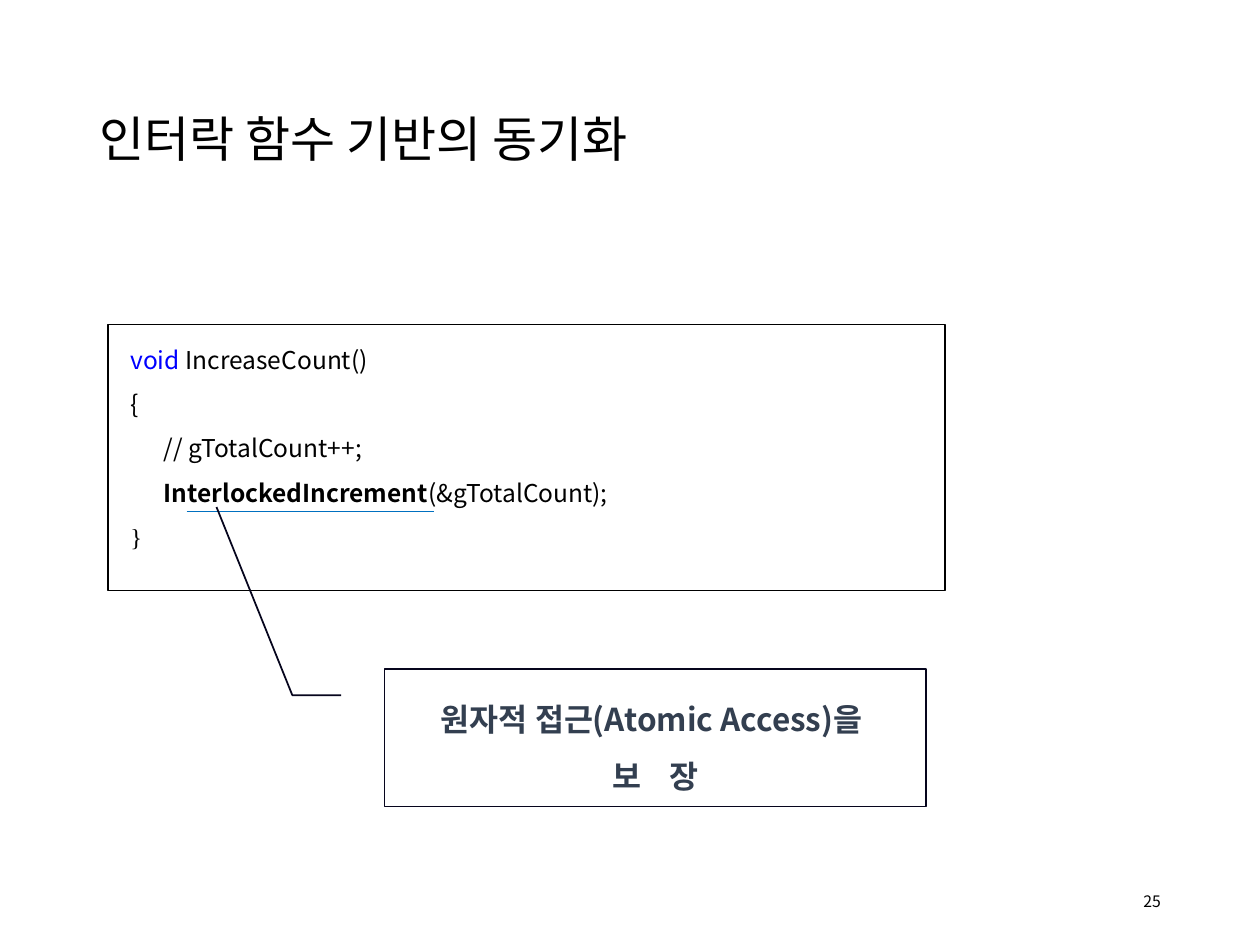
from typing import NamedTuple

from lxml.etree import SubElement
from pptx import Presentation
from pptx.dml.color import RGBColor
from pptx.enum.shapes import MSO_CONNECTOR, MSO_SHAPE
from pptx.enum.text import MSO_ANCHOR, PP_ALIGN
from pptx.oxml.ns import qn
from pptx.util import Cm, Pt

BLACK = RGBColor(0x00, 0x00, 0x00)
WHITE = RGBColor(0xFF, 0xFF, 0xFF)
KEYWORD = RGBColor(0x00, 0x00, 0xFF)
UNDERLINE = RGBColor(0x00, 0x70, 0xC0)
CALLOUT_LINE = RGBColor(0x06, 0x05, 0x1D)
CALLOUT_TEXT = RGBColor(0x33, 0x3F, 0x50)
SANS = "Noto Sans CJK KR"
SERIF = "Times New Roman"


class Span(NamedTuple):
    text: str
    color: RGBColor = BLACK
    bold: bool = False


class CodeLine(NamedTuple):
    spans: list[Span]
    indent: float = 0.2
    font: str = SANS


CODE = [
    CodeLine([Span("void", KEYWORD), Span(" IncreaseCount()")]),
    CodeLine([Span("{")]),
    CodeLine([Span("// gTotalCount++;")], 0.87),
    CodeLine([Span("InterlockedIncrement", bold=True), Span("(&gTotalCount);")], 0.87),
    CodeLine([Span("}")], font=SERIF),
]


def style(p, size: float, color: RGBColor = BLACK, font: str = SANS,
          align=PP_ALIGN.LEFT, spacing: float = 1.0, bold: bool = False) -> None:
    p.alignment = align
    p.line_spacing = spacing
    p.font.size = Pt(size)
    p.font.bold = bold
    p.font.color.rgb = color
    p.font.name = font
    SubElement(p.font._element, qn("a:ea")).set("typeface", font)


def place(sp, left: float, top: float, width: float, height: float) -> None:
    sp.left, sp.top, sp.width, sp.height = map(Cm, (left, top, width, height))


def add_title(s, text: str) -> None:
    sp = s.shapes.title
    place(sp, 1.75, 1.02, 21.92, 3.68)
    tf = sp.text_frame
    tf.vertical_anchor = MSO_ANCHOR.MIDDLE
    tf.text = text
    style(tf.paragraphs[0], 28, spacing=0.9)


def add_page_number(s, number: str) -> None:
    sp = s.shapes.add_textbox(Cm(17.93), Cm(17.65), Cm(5.72), Cm(1.02))
    tf = sp.text_frame
    tf.word_wrap = True
    tf.vertical_anchor = MSO_ANCHOR.MIDDLE
    tf.text = number
    style(tf.paragraphs[0], 9, align=PP_ALIGN.RIGHT)


def add_code(s, lines: list[CodeLine]) -> None:
    sp = s.shapes.add_shape(MSO_SHAPE.RECTANGLE, Cm(2.18), Cm(6.54), Cm(16.87), Cm(5.36))
    sp.shadow.inherit = False
    sp.fill.solid()
    sp.fill.fore_color.rgb = WHITE
    sp.line.color.rgb = BLACK
    sp.line.width = Pt(0.75)
    tf = sp.text_frame
    tf.word_wrap = True
    tf.vertical_anchor = MSO_ANCHOR.TOP
    for i, line in enumerate(lines):
        p = tf.add_paragraph() if i else tf.paragraphs[0]
        style(p, 14, font=line.font, spacing=1.5)
        pPr = p._p.get_or_add_pPr()
        pPr.set("marL", str(Cm(line.indent)))
        pPr.set("indent", "0")
        for span in line.spans:
            r = p.add_run()
            r.text = span.text
            r.font.color.rgb = span.color
            r.font.bold = span.bold


def add_underline(s, left: float, right: float, y: float) -> None:
    line = s.shapes.add_connector(MSO_CONNECTOR.STRAIGHT, Cm(left), Cm(y), Cm(right), Cm(y))
    line.line.color.rgb = UNDERLINE
    line.line.width = Pt(1)
    SubElement(line._element.spPr, qn("a:effectLst"))


def add_callout(s, lines: list[list[str]]) -> None:
    sp = s.shapes.add_shape(MSO_SHAPE.LINE_CALLOUT_2, Cm(7.75), Cm(13.49), Cm(10.92), Cm(2.77))
    for i, value in enumerate((0.19, -0.08, 0.19, -0.17, -1.18, -0.31)):
        sp.adjustments[i] = value
    sp.shadow.inherit = False
    sp.fill.background()
    sp.line.color.rgb = CALLOUT_LINE
    sp.line.width = Pt(1)
    tf = sp.text_frame
    tf.word_wrap = True
    tf.vertical_anchor = MSO_ANCHOR.MIDDLE
    for i, parts in enumerate(lines):
        p = tf.add_paragraph() if i else tf.paragraphs[0]
        style(p, 18, CALLOUT_TEXT, align=PP_ALIGN.CENTER, spacing=1.5, bold=True)
        for part in parts:
            r = p.add_run()
            r.text = part
            if part == " ":
                r.font._element.set("spc", "1200")


def main() -> None:
    prs = Presentation()
    prs.slide_width, prs.slide_height = Cm(25.4), Cm(19.05)
    s = prs.slides.add_slide(prs.slide_layouts[5])
    add_title(s, "인터락 함수 기반의 동기화")
    add_page_number(s, "25")
    add_code(s, CODE)
    add_underline(s, 3.76, 8.74, 10.31)
    add_callout(s, [["원자적 접근(Atomic Access)을 "], ["보", " ", "장"]])
    prs.save("out.pptx")


if __name__ == "__main__":
    main()
